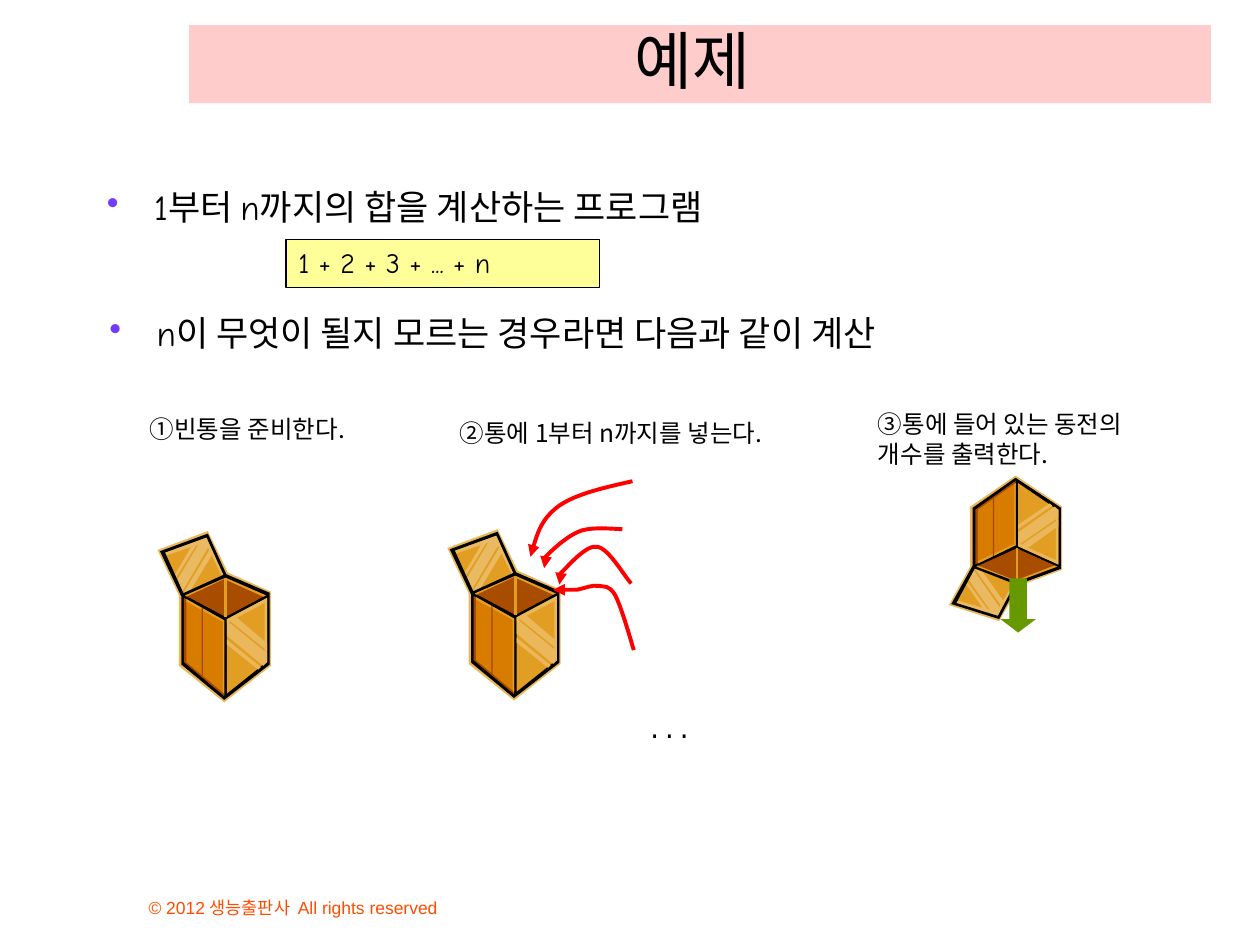
from lxml import etree
from pptx import Presentation
from pptx.dml.color import RGBColor
from pptx.enum.shapes import MSO_SHAPE
from pptx.enum.text import MSO_ANCHOR, MSO_AUTO_SIZE, PP_ALIGN
from pptx.oxml.ns import qn
from pptx.util import Pt

RECT, DOWN_ARROW = MSO_SHAPE.RECTANGLE, MSO_SHAPE.DOWN_ARROW
TOP, BOTTOM = MSO_ANCHOR.TOP, MSO_ANCHOR.BOTTOM
LEFT, CENTER = PP_ALIGN.LEFT, PP_ALIGN.CENTER
FIXED, GROW = MSO_AUTO_SIZE.NONE, MSO_AUTO_SIZE.SHAPE_TO_FIT_TEXT

COLORS = {
    "black": "000000", "pink": "FFCCCC", "yellow": "FFFF99", "bullet": "703DFF",
    "footer": "FF4C00", "red": "FF0000", "green": "669900", "rim": "EAB75B",
    "shine": "EABA63", "front": "E29E23", "inside": "A84C00", "edge": "A54900",
    "side": "D87C00", "side_rim": "E2A02B",
}
SANS, COMIC = "Noto Sans CJK KR", "Comic Neue"
BOX_UNIT = 0.72
BOX_PARTS = [
    ("rim", [(40, 0), (56, 33), (90, 48), (90, 107), (53, 136), (17, 107), (17, 51), (0, 15)]),
    ("shine", [(54, 36), (39, 4), (4, 17), (20, 51)]),
    ("front", [(53, 40), (38, 9), (5, 20), (22, 55)]),
    ("shine", [(15, 40), (36, 5), (39, 4), (42, 10), (19, 49)]),
    ("shine", [(13, 36), (30, 7), (34, 6), (14, 38)]),
    ("shine", [(20, 51), (20, 50), (43, 12), (45, 16), (25, 49)]),
    ("black", [(54, 34), (89, 49), (89, 106), (53, 134), (19, 106), (19, 50)]),
    ("inside", [(22, 51), (54, 68), (86, 51), (54, 37)]),
    ("front", [(53, 38), (23, 52), (22, 51), (54, 37), (86, 51), (84, 52)]),
    ("front", [(87, 53), (87, 104), (85, 105), (55, 129), (55, 70)]),
    ("rim", [(85, 105), (85, 57), (55, 73), (55, 70), (87, 53), (87, 104)]),
    ("edge", [(53, 131), (53, 71), (21, 53), (21, 104)]),
    ("side", [(53, 129), (23, 104), (23, 54), (53, 71)]),
    ("side_rim", [(52, 72), (23, 56), (23, 54), (53, 71), (53, 129), (52, 128)]),
    ("black", [(40, 2), (55, 35), (53, 36), (39, 5), (6, 17), (21, 50), (19, 52), (2, 16)]),
    ("front", [(55, 38), (55, 68), (53, 68), (53, 38)]),
    ("rim", [(55, 71), (87, 97), (87, 104), (85, 106), (84, 107), (55, 83)]),
    ("rim", [(55, 86), (82, 108), (80, 110), (55, 90)]),
    ("rim", [(61, 67), (87, 89), (87, 95), (56, 70)]),
]
ARROWS = [
    [(361.4, 275), (345.6, 278.6), (329, 282.2), (319, 289.4), (309.6, 296.6),
     (306, 307.4), (303.1, 318.2)],
    [(355.7, 302.4), (352.1, 302.4), (339.8, 301), (332.6, 303.1), (325.4, 305.3),
     (316.8, 313.2), (313.2, 316.8), (309.6, 320.4), (311.8, 323.3), (311, 324.7)],
    [(360.7, 333.4), (357.1, 329.8), (347.8, 313.2), (341.3, 312.5), (335.5, 311),
     (325.4, 322.6), (321.8, 326.2), (318.2, 329.8), (320.4, 332.6), (319.7, 334.1)],
    [(362.2, 371.5), (360.7, 366.5), (355, 346.3), (351.4, 339.8), (347.8, 334.1),
     (345.6, 335.5), (342, 334.8), (338.4, 334.1), (334.1, 336.2), (329.8, 337),
     (325.4, 337), (319, 337), (316.1, 337)],
]


def rgb(name):
    return RGBColor.from_string(COLORS[name])


def write(tf, text, size=14, font=SANS, color="black", align=LEFT, anchor=TOP,
          wrap=True, fit=FIXED, bullet=False, spacing=None):
    tf.word_wrap, tf.auto_size, tf.vertical_anchor = wrap, fit, anchor
    p = tf.paragraphs[0]
    p.alignment, p.line_spacing = align, spacing
    if bullet:
        pPr = p._p.get_or_add_pPr()
        pPr.set("marL", str(Pt(27)))
        pPr.set("indent", str(-Pt(27)))
        clr = etree.SubElement(pPr, qn("a:buClr"))
        etree.SubElement(clr, qn("a:srgbClr")).set("val", COLORS["bullet"])
        etree.SubElement(pPr, qn("a:buChar")).set("char", "•")
    r = p.add_run()
    r.text = text
    r.font.size, r.font.name = Pt(size), font
    r.font.color.rgb = rgb(color)
    etree.SubElement(r._r.get_or_add_rPr(), qn("a:ea")).set("typeface", SANS)


class Deck:
    def __init__(self):
        self.prs = Presentation()
        self.prs.slide_width, self.prs.slide_height = Pt(720), Pt(540)
        self.s = self.prs.slides.add_slide(self.prs.slide_layouts[5])

    def paint(self, sp, fill=None, line=None, width=0.75):
        sp.shadow.inherit = False
        if fill:
            sp.fill.solid()
            sp.fill.fore_color.rgb = rgb(fill)
        else:
            sp.fill.background()
        if line:
            sp.line.color.rgb, sp.line.width = rgb(line), Pt(width)
        else:
            sp.line.fill.background()

    def title(self, text, x, y, w, h):
        sp = self.s.shapes.title
        sp.left, sp.top, sp.width, sp.height = Pt(x), Pt(y), Pt(w), Pt(h)
        sp.fill.solid()
        sp.fill.fore_color.rgb = rgb("pink")
        write(sp.text_frame, text, size=36, align=CENTER, anchor=BOTTOM)

    def text(self, text, x, y, w, h, **style):
        sp = self.s.shapes.add_textbox(Pt(x), Pt(y), Pt(w), Pt(h))
        write(sp.text_frame, text, **style)

    def shape(self, kind, x, y, w, h, fill, line=None):
        sp = self.s.shapes.add_shape(kind, Pt(x), Pt(y), Pt(w), Pt(h))
        self.paint(sp, fill, line)
        return sp

    def outline(self, points, close=True):
        start, *rest = [(Pt(x), Pt(y)) for x, y in points]
        builder = self.s.shapes.build_freeform(*start)
        builder.add_line_segments(rest, close=close)
        return builder.convert_to_shape()

    def curved_arrow(self, points):
        sp = self.outline(points, close=False)
        self.paint(sp, line="red", width=2.25)
        route = sp._element.find(".//" + qn("a:path"))
        steps = route.findall(qn("a:lnTo"))
        for i in range(0, len(steps), 3):
            curve = etree.SubElement(route, qn("a:cubicBezTo"))
            for step in steps[i:i + 3]:
                curve.append(step[0])
                route.remove(step)
        ln = sp.line._get_or_add_ln()
        etree.SubElement(ln, qn("a:tailEnd")).set("type", "triangle")

    def box(self, x, y, stretch=1):
        x_unit, y_unit = BOX_UNIT, BOX_UNIT * stretch
        for fill, points in BOX_PARTS:
            sp = self.outline([(x + px * x_unit, y + py * y_unit) for px, py in points])
            self.paint(sp, fill)
        ends = sorted((y + 61 * y_unit, y + 116 * y_unit))
        self.shape(RECT, x + 35 * x_unit, ends[0], x_unit, ends[1] - ends[0], "edge")


def main():
    deck = Deck()
    deck.text("© 2012 생능출판사  All rights reserved", 77.8, 498.2, 275.8, 30.2,
              size=10, font="Arial", color="footer", anchor=BOTTOM)
    deck.title("예제 ", 108, 14.4, 584, 44.6)

    for text, x, y in [("1부터 n까지의 합을 계산하는 프로그램", 54, 105.1),
                       ("n이 무엇이 될지 모르는 경우라면 다음과 같이 계산", 55.4, 177.1)]:
        deck.text(text, x, y, 646.6, 29.5, size=20, font=COMIC, bullet=True, spacing=0.9)
    formula = deck.shape(RECT, 163.4, 136.8, 179.3, 27.4, "yellow", "black")
    write(formula.text_frame, "1 + 2 + 3 + ... + n", size=16, font=COMIC)

    deck.box(255.6, 302.4)
    for points in ARROWS:
        deck.curved_arrow(points)
    deck.text("...", 362.9, 404.6, 39.6, 23.8, font="Courier New", wrap=False, fit=GROW)
    deck.box(90, 303.5)

    deck.text("①빈통을 준비한다.", 78.5, 233.3, 136.1, 23.8, wrap=False, fit=GROW)
    deck.text("②통에 1부터 n까지를 넣는다.", 255.6, 235.4, 203, 23.8, wrap=False, fit=GROW)
    deck.text("③통에 들어 있는 동전의 개수를 출력한다.", 494.6, 230.4, 172.1, 41, fit=GROW)

    deck.box(542.2, 355, stretch=-0.85)
    arrow = deck.shape(DOWN_ARROW, 571.7, 330.5, 20.2, 31, "green")
    arrow.adjustments[1] = 0.38
    deck.prs.save("out.pptx")


if __name__ == "__main__":
    main()
